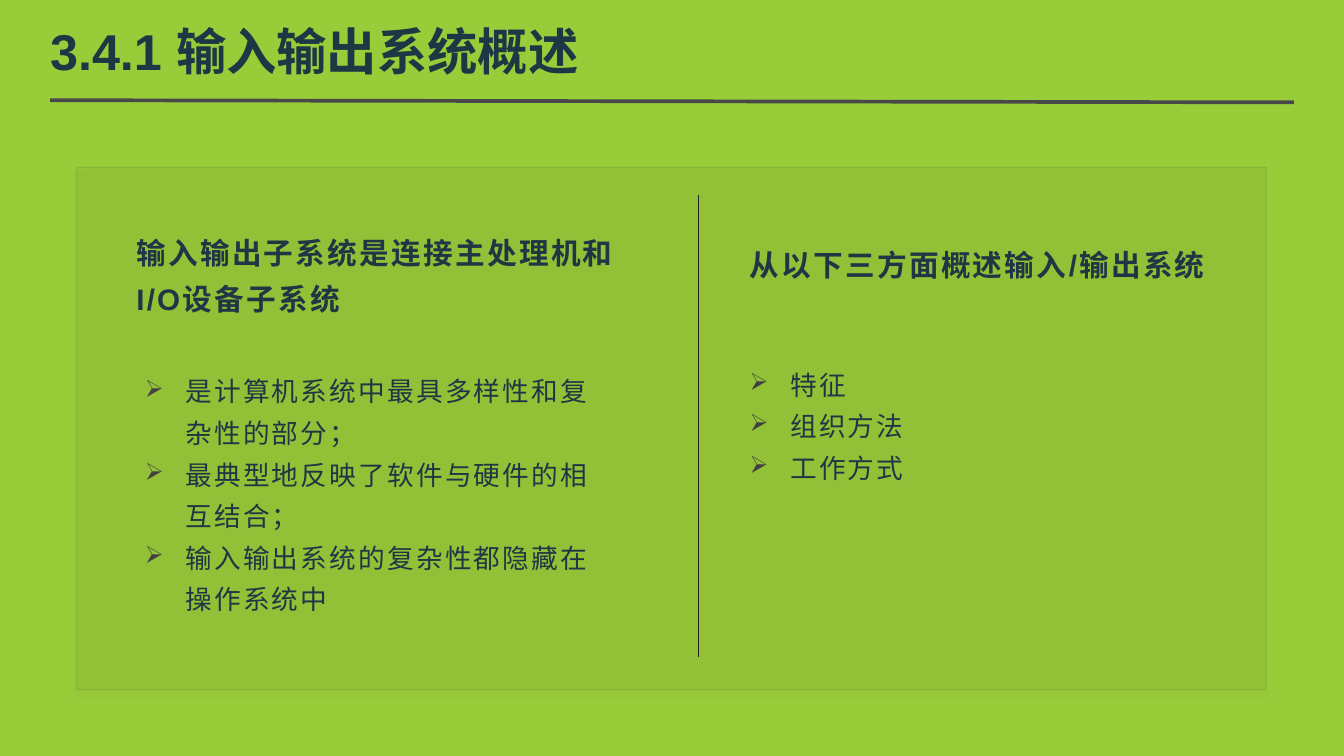
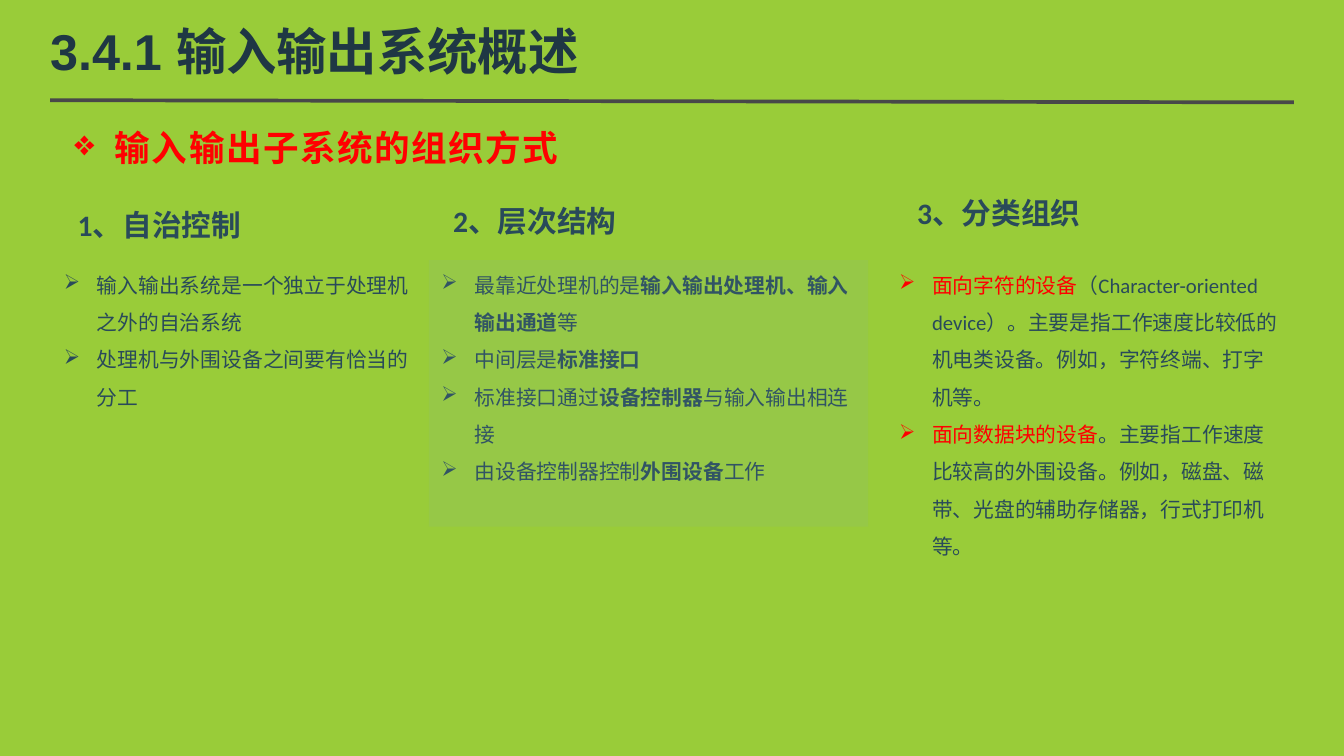
from lxml import etree
from pptx import Presentation
from pptx import util as u
from pptx.dml.color import RGBColor
from pptx.enum import shapes, text
from pptx.oxml import ns

LIME = RGBColor(0x99, 0xCC, 0x39)
INK = RGBColor(0x1F, 0x37, 0x44)
SLATE = RGBColor(0x29, 0x4A, 0x5A)
GREY = RGBColor(0x48, 0x48, 0x49)
DARK = RGBColor(0x24, 0x24, 0x24)
MARK = RGBColor(0x40, 0x40, 0x40)
BLUE = RGBColor(0x7D, 0xAD, 0xC4)
RED = RGBColor(0xFF, 0, 0)

TITLE = "3.4.1 输入输出系统概述"
ARROW = "➢"
MID = text.MSO_ANCHOR.MIDDLE
TOP = text.MSO_ANCHOR.TOP


def inch(*nums):
    return [u.Inches(n) for n in nums]


def sub(node, tag, **attrs):
    return etree.SubElement(node, ns.qn(tag), {k: str(v) for k, v in attrs.items()})


def style(run, size, color, font="Arial", bold=False, gap=0):
    run.font.size, run.font.name, run.font.bold = u.Pt(size), font, bold
    run.font.color.rgb = color
    if gap:
        run._r.get_or_add_rPr().set("spc", str(int(gap * 100)))


def bullet(para, char, indent, color=None, scale=None):
    props = para._p.get_or_add_pPr()
    props.set("marL", str(u.Inches(indent)))
    props.set("indent", str(-u.Inches(indent)))
    if color is not None:
        sub(sub(props, "a:buClr"), "a:srgbClr", val=color)
    if scale:
        sub(props, "a:buSzPct", val=scale * 1000)
    sub(props, "a:buChar", char=char)


def write(slide, box, paras, look, space=1.0, mark=None, anchor=TOP, wrap=True):
    """Each paragraph is a list of (words, changes to the look)."""
    frame = slide.shapes.add_textbox(*inch(*box)).text_frame
    frame.word_wrap, frame.vertical_anchor = wrap, anchor
    for i, parts in enumerate(paras):
        para = frame.add_paragraph() if i else frame.paragraphs[0]
        para.line_spacing = space
        if mark:
            bullet(para, **mark)
        for words, change in parts:
            run = para.add_run()
            run.text = words
            style(run, **{**look, **change})


def plain(*lines):
    return [[(line, {})] for line in lines]


def rule(slide, ends, color, width):
    line = slide.shapes.add_connector(shapes.MSO_CONNECTOR.STRAIGHT, *inch(*ends))
    line.line.color.rgb, line.line.width = color, u.Pt(width)
    sub(line._element.spPr, "a:effectLst")


def fade(fill, alpha):
    sub(fill._xPr.find(".//" + ns.qn("a:srgbClr")), "a:alpha", val=alpha * 1000)


def panel(slide, box, color, alpha):
    rect = slide.shapes.add_shape(shapes.MSO_SHAPE.RECTANGLE, *inch(*box))
    rect.shadow.inherit = False
    rect.fill.solid()
    rect.fill.fore_color.rgb = color
    fade(rect.fill, alpha)
    rect.line.fill.background()
    return rect


def start(deck):
    """New slide with the shared title and rule."""
    slide = deck.slides.add_slide(deck.slide_layouts[5])
    rule(slide, (0.47, 0.94, 12.13, 0.96), GREY, 2.5)
    head = slide.shapes.title
    head.left, head.top, head.width, head.height = inch(0.47, 0.16, 11.65, 0.63)
    frame = head.text_frame
    frame.text = TITLE
    frame.vertical_anchor = MID
    frame.margin_left = frame.margin_right = frame.margin_top = frame.margin_bottom = 0
    para = frame.paragraphs[0]
    para.alignment = text.PP_ALIGN.LEFT
    style(para.runs[0], 34, INK, bold=True)
    return slide


def half(slide, head, body, title, points):
    """Heading over a bullet list, for one side of the card."""
    write(slide, head, plain(title), dict(size=20, color=INK, bold=True, gap=1.5), 1.3)
    write(slide, body, plain(*points), dict(size=18, color=INK, gap=1.5), 1.3,
          dict(char=ARROW, indent=0.38, color=MARK, scale=90), MID)


def card(slide, x, y, w, h):
    """Framed card with a divider and two halves."""
    rect = panel(slide, (x, y, w, h), GREY, 5)
    rect.line.color.rgb, rect.line.width = GREY, u.Pt(0.5)
    fade(rect.line.fill, 20)
    glow = sub(rect._element.spPr.find(ns.qn("a:effectLst")), "a:outerShdw",
               blurRad=u.Pt(4), dist=u.Pt(3), dir=90 * 60000, rotWithShape=0)
    sub(sub(glow, "a:srgbClr", val="000000"), "a:alpha", val=40000)
    rule(slide, (x + 5.83, y + 0.26, x + 5.83, y + 4.59), DARK, 0.5)
    half(slide, (x + 0.46, y + 0.48, 4.88, 0.93), (x + 0.54, y + 1.66, 4.58, 2.74),
         "输入输出子系统是连接主处理机和I/O设备子系统",
         ["是计算机系统中最具多样性和复杂性的部分；",
          "最典型地反映了软件与硬件的相互结合；",
          "输入输出系统的复杂性都隐藏在操作系统中"])
    half(slide, (x + 6.21, y + 0.6, 4.88, 0.5), (x + 6.21, y + 1.74, 4.58, 1.28),
         "从以下三方面概述输入/输出系统", ["特征", "组织方法", "工作方式"])


def column(slide, box, shift, title, paras):
    """Bullet list with its heading set off by shift from the list's corner."""
    x, y, w, h = box
    write(slide, box, paras, dict(size=14, color=SLATE, font="Calibri"), 1.5,
          dict(char=ARROW, indent=0.31))
    write(slide, (x + shift[0], y + shift[1], 2.81, 0.43), plain(title),
          dict(size=20, color=SLATE, font="Calibri", bold=True), anchor=MID)


def ways(slide):
    """Three ways of organising, side by side."""
    bold, red = dict(bold=True), dict(color=RED)
    top = 2.39
    column(slide, (4.04, top, 4.12, 2.22), (0.11, -0.54), "2、层次结构", [
        [("最靠近处理机的是", {}), ("输入输出处理机、输入输出通道", bold), ("等", {})],
        [("中间层是", {}), ("标准接口", bold)],
        [("标准接口通过", {}), ("设备控制器", bold), ("与输入输出相连接", {})],
        [("由设备控制器控制", {}), ("外围设备", bold), ("工作", {})]])
    column(slide, (8.33, top, 3.78, 2.89), (0.17, -0.61), "3、分类组织", [
        [("面向字符的设备", red),
         ("（Character-oriented device）。主要是指工作速度比较低的机电类设备。"
          "例如，字符终端、打字机等。", {})],
        [("面向数据块的设备", red),
         ("。主要指工作速度比较高的外围设备。例如，磁盘、磁带、光盘的辅助存储器，"
          "行式打印机等。", {})]])
    panel(slide, (4.02, top + 0.05, 4.12, 2.5), BLUE, 10)
    column(slide, (0.5, top, 3.62, 1.48), (0.13, -0.5), "1、自治控制", plain(
        "输入输出系统是一个独立于处理机之外的自治系统",
        "处理机与外围设备之间要有恰当的分工"))
    write(slide, (0.6, 1.01, 4.9, 0.63), plain("输入输出子系统的组织方式"),
          dict(size=24, color=RED, font="Noto Sans CJK SC", bold=True, gap=1), 1.3,
          dict(char="❖", indent=0.38), wrap=False)


def main():
    deck = Presentation()
    deck.slide_width, deck.slide_height = inch(12.6, 7.09)
    back = deck.slide_master.background.fill
    back.solid()
    back.fore_color.rgb = LIME
    card(start(deck), 0.72, 1.57, 11.15, 4.9)
    ways(start(deck))
    deck.save("out.pptx")


if __name__ == "__main__":
    main()
